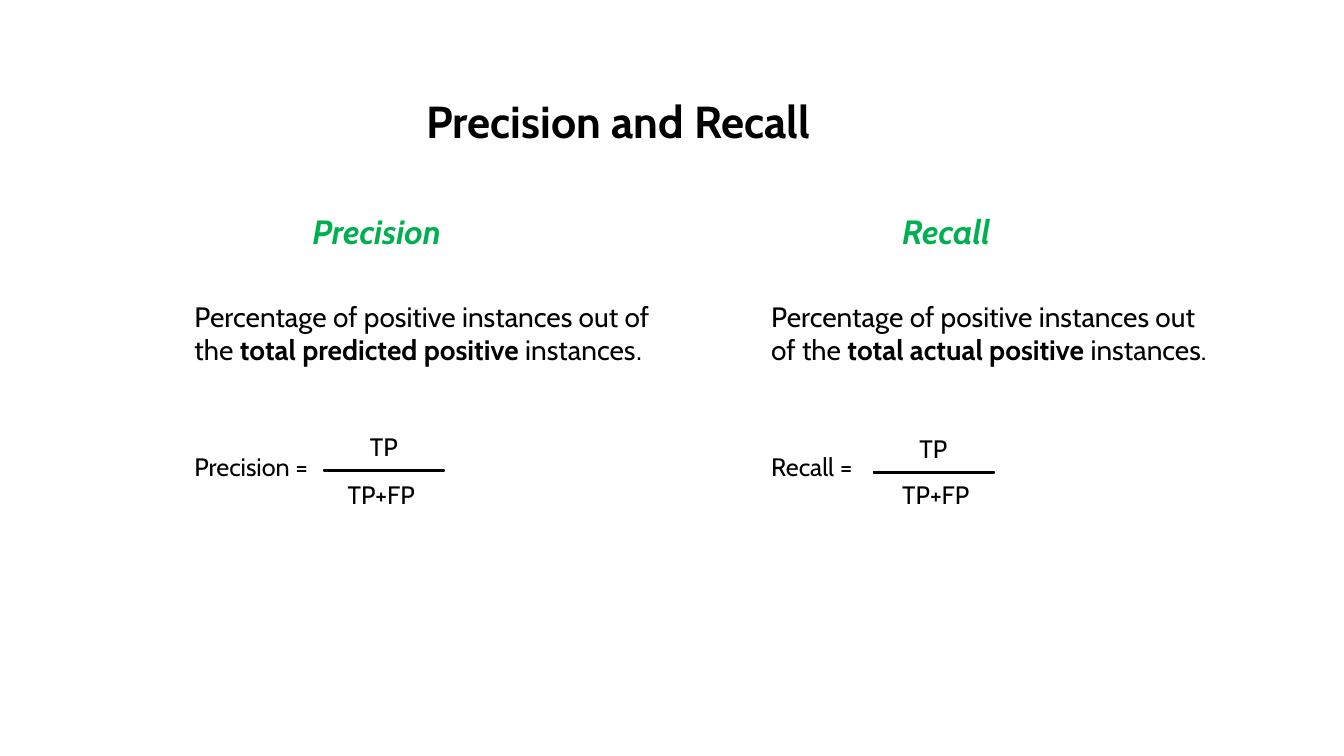
"""Build a slide that sets the definitions of precision and recall side by side."""
import dataclasses

import pptx
import pptx.dml.color
import pptx.enum.shapes
import pptx.enum.text
import pptx.util

Inches = pptx.util.Inches


@dataclasses.dataclass(frozen=True)
class Theme:
    font: str = "Cabin"
    stop_font: str = "Arial"
    ink: str = "000000"
    accent: str = "00B050"
    title: int = 32
    heading: int = 24
    body: int = 20
    formula: int = 18
    bar_line: float = 1.25


theme = Theme()


def add_run(paragraph, text, size, color=theme.ink, bold=False, italic=False, font=theme.font):
    run = paragraph.add_run()
    run.text = text
    run.font.name = font
    run.font.size = pptx.util.Pt(size)
    run.font.bold = bold
    run.font.italic = italic
    run.font.color.rgb = pptx.dml.color.RGBColor.from_string(color)


def add_box(left, top, width, height):
    box = slide.shapes.add_textbox(Inches(left), Inches(top), Inches(width), Inches(height))
    box.text_frame.word_wrap = True
    return box.text_frame.paragraphs[0]


presentation = pptx.Presentation()
presentation.slide_width = Inches(13.33)
presentation.slide_height = Inches(7.5)
slide = presentation.slides.add_slide(presentation.slide_layouts[5])

title = slide.shapes.title
title.left, title.top = Inches(4.13), Inches(0.88)
title.width, title.height = Inches(5.58), Inches(0.64)
title.text_frame.word_wrap = True
title.text_frame.auto_size = pptx.enum.text.MSO_AUTO_SIZE.NONE
title.text_frame.vertical_anchor = pptx.enum.text.MSO_ANCHOR.TOP
title.text_frame.paragraphs[0].alignment = pptx.enum.text.PP_ALIGN.LEFT
add_run(title.text_frame.paragraphs[0], "Precision and Recall", theme.title, bold=True)

measures = [
    dict(name="Precision", left=1.83, name_left=3, name_width=2.19, definition_width=4.81,
         emphasis="total predicted positive ", ending="instances",
         stop_font=theme.stop_font, stop_size=theme.formula,
         label_width=1.42, numerator=(3.57, 4.23, 0.57), denominator=(3.35, 4.71, 1.13),
         bar=(3, 4.64)),
    dict(name="Recall", left=7.55, name_left=8.85, name_width=1.97, definition_width=4.58,
         emphasis="total actual positive ", ending="instances",
         stop_font=theme.font, stop_size=theme.body,
         label_width=1.11, numerator=(9.02, 4.25, 0.49), denominator=(8.85, 4.71, 1.04),
         bar=(8.45, 4.66)),
]

for measure in measures:
    heading = add_box(measure["name_left"], 2.04, measure["name_width"], 0.5)
    add_run(heading, measure["name"], theme.heading, theme.accent, bold=True, italic=True)

    definition = add_box(measure["left"], 2.92, measure["definition_width"], 1.11)
    add_run(definition, "Percentage of positive instances out of the ", theme.body)
    add_run(definition, measure["emphasis"], theme.body, bold=True)
    add_run(definition, measure["ending"], theme.body)
    add_run(definition, ".", measure["stop_size"], font=measure["stop_font"])

    label = add_box(measure["left"], 4.43, measure["label_width"], 0.4)
    add_run(label, f"{measure['name']} =", theme.formula)

    for part, term in (("numerator", "TP"), ("denominator", "TP+FP")):
        left, top, width = measure[part]
        add_run(add_box(left, top, width, 0.4), term, theme.formula)

    bar_left, bar_top = measure["bar"]
    fraction_bar = slide.shapes.add_shape(
        pptx.enum.shapes.MSO_SHAPE.MATH_MINUS,
        Inches(bar_left), Inches(bar_top), Inches(1.62), Inches(0.05))
    fraction_bar.shadow.inherit = False
    fraction_bar.fill.solid()
    fraction_bar.fill.fore_color.rgb = pptx.dml.color.RGBColor.from_string(theme.ink)
    fraction_bar.line.color.rgb = pptx.dml.color.RGBColor.from_string(theme.ink)
    fraction_bar.line.width = pptx.util.Pt(theme.bar_line)

presentation.save("out.pptx")
